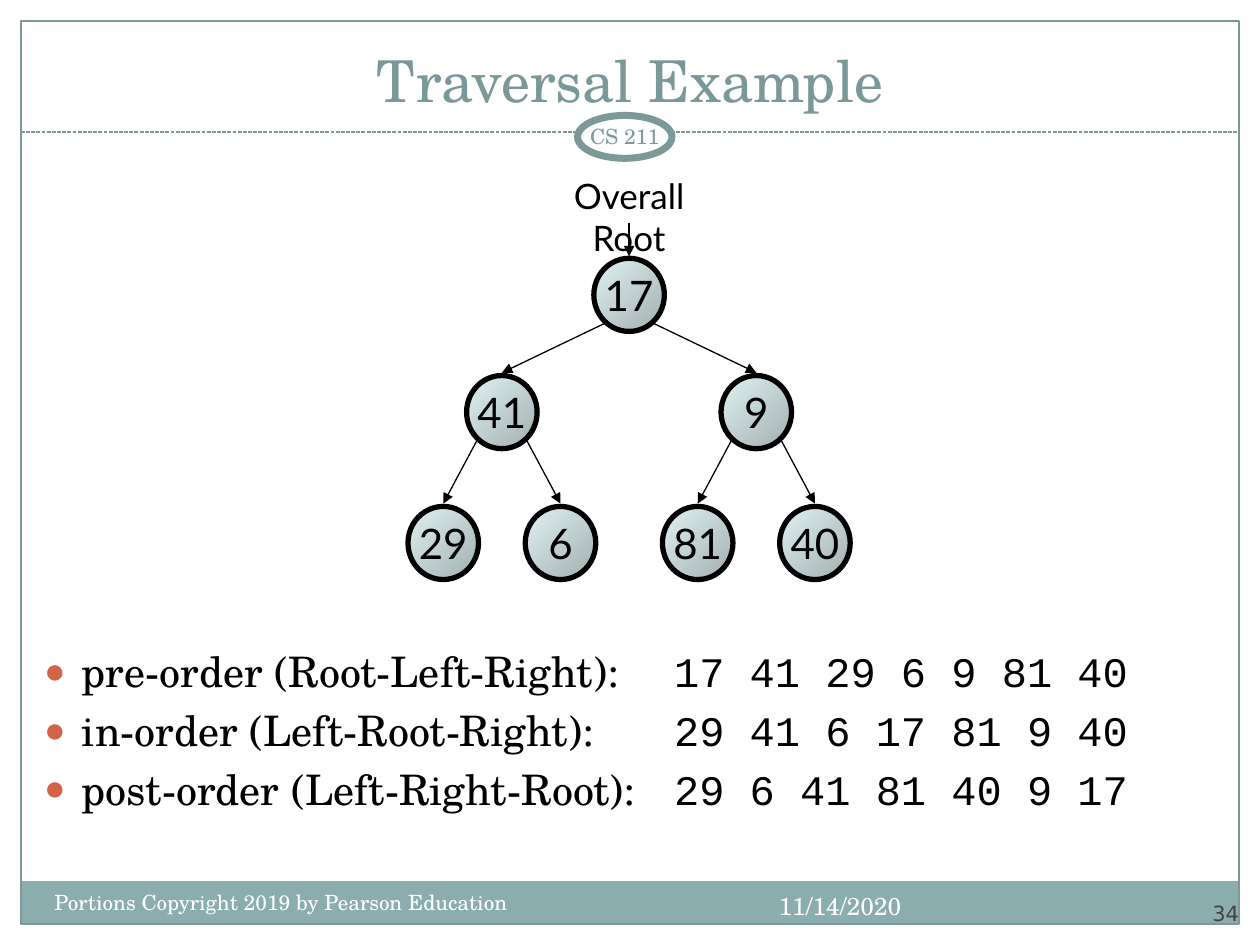
from pptx import Presentation
from pptx.dml.color import RGBColor
from pptx.enum.dml import MSO_LINE_DASH_STYLE as DASH
from pptx.enum.shapes import MSO_CONNECTOR, MSO_SHAPE
from pptx.enum.text import MSO_ANCHOR as ANCHOR, MSO_AUTO_SIZE, PP_ALIGN as ALIGN
from pptx.oxml.ns import qn
from pptx.util import Pt
from lxml.etree import SubElement

TEAL = RGBColor(0x7C, 0x99, 0x9A)
TITLE_TEAL = RGBColor(0x7B, 0x98, 0x99)
BAND = RGBColor(0x8C, 0xAD, 0xAE)
NODE_LIGHT = RGBColor(0xE1, 0xF2, 0xF3)
NODE_DARK = RGBColor(0xA2, 0xAF, 0xAF)
BLACK = RGBColor(0, 0, 0)
WHITE = RGBColor(0xFF, 0xFF, 0xFF)
GREY = RGBColor(0x42, 0x42, 0x42)
BULLET = "D16349"

SERIF, SANS, MONO = "TeX Gyre Schola", "Lato", "Courier New"
NODE_W, NODE_H = 40.3, 41.8

# Each node is (value, left child, right child)
TREE = (17, (41, (29,), (6,)), (9, (81,), (40,)))
LEVEL_Y = [72.5, 139.5, 214.3]
CHILD_DX = [72.7, 33.5]

TRAVERSALS = [
    ("pre-order (Root-Left-Right):", "17 41 29 6 9 81 40"),
    ("in-order (Left-Root-Right):", "29 41 6 17 81 9 40"),
    ("post-order (Left-Right-Root):", "29 6 41 81 40 9 17"),
]


def set_attrs(target, **values):
    for name, value in values.items():
        setattr(target, name, value)


def place(s, x, y, w, h):
    set_attrs(s, left=Pt(x), top=Pt(y), width=Pt(w), height=Pt(h))


def add_run(p, text, font, size, color):
    r = p.add_run()
    r.text = text
    set_attrs(r.font, name=font, size=Pt(size))
    r.font.color.rgb = color


def add_text(shapes, box, text, font, size, color, align=ALIGN.LEFT, **frame):
    s = shapes.add_textbox(*map(Pt, box))
    set_attrs(s.text_frame, **{"word_wrap": True, **frame})
    p = s.text_frame.paragraphs[0]
    p.alignment = align
    add_run(p, text, font, size, color)


def add_shape(shapes, kind, box, fill=None, line=None, width=0.75):
    s = shapes.add_shape(kind, *map(Pt, box))
    s.shadow.inherit = False
    if fill is None:
        s.fill.background()
    else:
        s.fill.solid()
        s.fill.fore_color.rgb = fill
    if line is None:
        s.line.fill.background()
    else:
        s.line.color.rgb = line
        s.line.width = Pt(width)
    return s


def add_line(shapes, x1, y1, x2, y2, color):
    c = shapes.add_connector(MSO_CONNECTOR.STRAIGHT, *map(Pt, (x1, y1, x2, y2)))
    c.line.color.rgb = color
    c.line.width = Pt(0.75)
    SubElement(c._element.spPr, qn("a:effectLst"))
    return c


def add_arrow(shapes, x1, y1, x2, y2):
    c = add_line(shapes, x1, y1, x2, y2, BLACK)
    SubElement(c.line._get_or_add_ln(), qn("a:tailEnd"), type="triangle")


def add_frame(shapes, x, y, w, h):
    """Page border, footer band, and the divider with its course badge."""
    add_shape(shapes, MSO_SHAPE.RECTANGLE, (x, y + h - 24.5, w, 24.5), BAND)
    add_shape(shapes, MSO_SHAPE.RECTANGLE, (x, y, w, h), line=TEAL)
    add_line(shapes, x, y + 63.5, x + w, y + 63.5, TEAL).line.dash_style = DASH.SQUARE_DOT
    add_shape(shapes, MSO_SHAPE.OVAL, (x + 318, y + 54, 54, 24.5), WHITE, TEAL, 4)
    add_text(shapes, (x + 312, y + 54, 66, 24), "CS 211", SERIF, 12, TEAL, ALIGN.CENTER,
             vertical_anchor=ANCHOR.MIDDLE, margin_left=Pt(3.6), margin_right=Pt(3.6))


def add_footer(shapes, x, y):
    add_text(shapes, (x, y, 294, 28.8), "Portions Copyright 2019 by Pearson Education",
             SERIF, 12, WHITE)
    add_text(shapes, (x + 378.7, y + 0.7, 119.5, 28.8), "11/14/2020", SERIF, 14, WHITE,
             ALIGN.RIGHT)
    add_text(shapes, (x + 624, y - 4.5, 60, 28.8), "34", "DejaVu Sans", 12, GREY, ALIGN.RIGHT,
             vertical_anchor=ANCHOR.BOTTOM, margin_left=0, margin_right=0,
             margin_top=0, margin_bottom=0)


def add_node(shapes, value, cx, cy):
    s = add_shape(shapes, MSO_SHAPE.OVAL,
                  (cx - NODE_W / 2, cy - NODE_H / 2, NODE_W, NODE_H), line=BLACK, width=3)
    s.fill.gradient()
    s.fill.gradient_angle = 315
    for stop, color, position in zip(s.fill.gradient_stops, (NODE_LIGHT, NODE_DARK), (0, 1)):
        stop.color.rgb = color
        stop.position = position
    set_attrs(s.text_frame, word_wrap=False, vertical_anchor=ANCHOR.MIDDLE)
    p = s.text_frame.paragraphs[0]
    p.alignment = ALIGN.CENTER
    add_run(p, str(value), SANS, 24, BLACK)


def add_subtree(shapes, node, cx, top, level=0):
    value, *children = node
    cy = top + LEVEL_Y[level]
    add_node(shapes, value, cx, cy)
    for side, child in zip((-1, 1), children):
        child_x = cx + side * CHILD_DX[level]
        child_y = top + LEVEL_Y[level + 1]
        add_arrow(shapes, cx + side * 14.4, cy + 16.5, child_x, child_y - 22.5)
        add_subtree(shapes, child, child_x, top, level + 1)


def add_tree(shapes, x, y, w):
    group = shapes.add_group_shape().shapes
    cx = x + w / 2
    add_subtree(group, TREE, cx, y)
    add_text(group, (cx - 62, y, 124, 32), "Overall Root", SANS, 20, BLACK, ALIGN.CENTER,
             margin_left=Pt(25), margin_right=Pt(25))
    add_arrow(group, cx, y + 31.5, cx, y + 50.5)


def fill_title(s, x, y, w, h):
    place(s, x, y, w, h)
    tf = s.text_frame
    set_attrs(tf, vertical_anchor=ANCHOR.BOTTOM, auto_size=MSO_AUTO_SIZE.NONE)
    p = tf.paragraphs[0]
    p.alignment = ALIGN.CENTER
    add_run(p, "Traversal Example", SERIF, 33, TITLE_TEAL)


def format_bullet(p, tab):
    pPr = p._p.get_or_add_pPr()
    pPr.set("marL", str(Pt(21.6)))
    pPr.set("indent", str(Pt(-21.6)))
    SubElement(SubElement(pPr, qn("a:buClr")), qn("a:srgbClr"), val=BULLET)
    SubElement(pPr, qn("a:buSzPct"), val="85000")
    SubElement(pPr, qn("a:buChar"), char="●")
    SubElement(SubElement(pPr, qn("a:tabLst")), qn("a:tab"), pos=str(Pt(tab)), algn="l")


def fill_traversals(s, x, y, w, h):
    """List the orders in the lower part of the box, below the tree."""
    place(s, x, y, w, h)
    tf = s.text_frame
    set_attrs(tf, auto_size=MSO_AUTO_SIZE.NONE, margin_top=Pt(273))
    for i, (order, values) in enumerate(TRAVERSALS):
        p = tf.add_paragraph() if i else tf.paragraphs[0]
        p.space_before = Pt(4.8 if i else 0)
        format_bullet(p, 360)
        add_run(p, order + "\t", SERIF, 24, BLACK)
        add_run(p, values, MONO, 24, BLACK)


def main():
    prs = Presentation()
    set_attrs(prs, slide_width=Pt(720), slide_height=Pt(540))
    slide = prs.slides.add_slide(prs.slide_layouts[1])
    title, body = slide.placeholders
    add_frame(slide.shapes, 12, 12, 696, 516)
    fill_title(title, 24, 18, 672, 51)
    fill_traversals(body, 18, 96, 684, 402)
    add_tree(slide.shapes, 234, 96, 251)
    add_footer(slide.shapes, 24, 504.7)
    prs.save("out.pptx")


if __name__ == "__main__":
    main()
